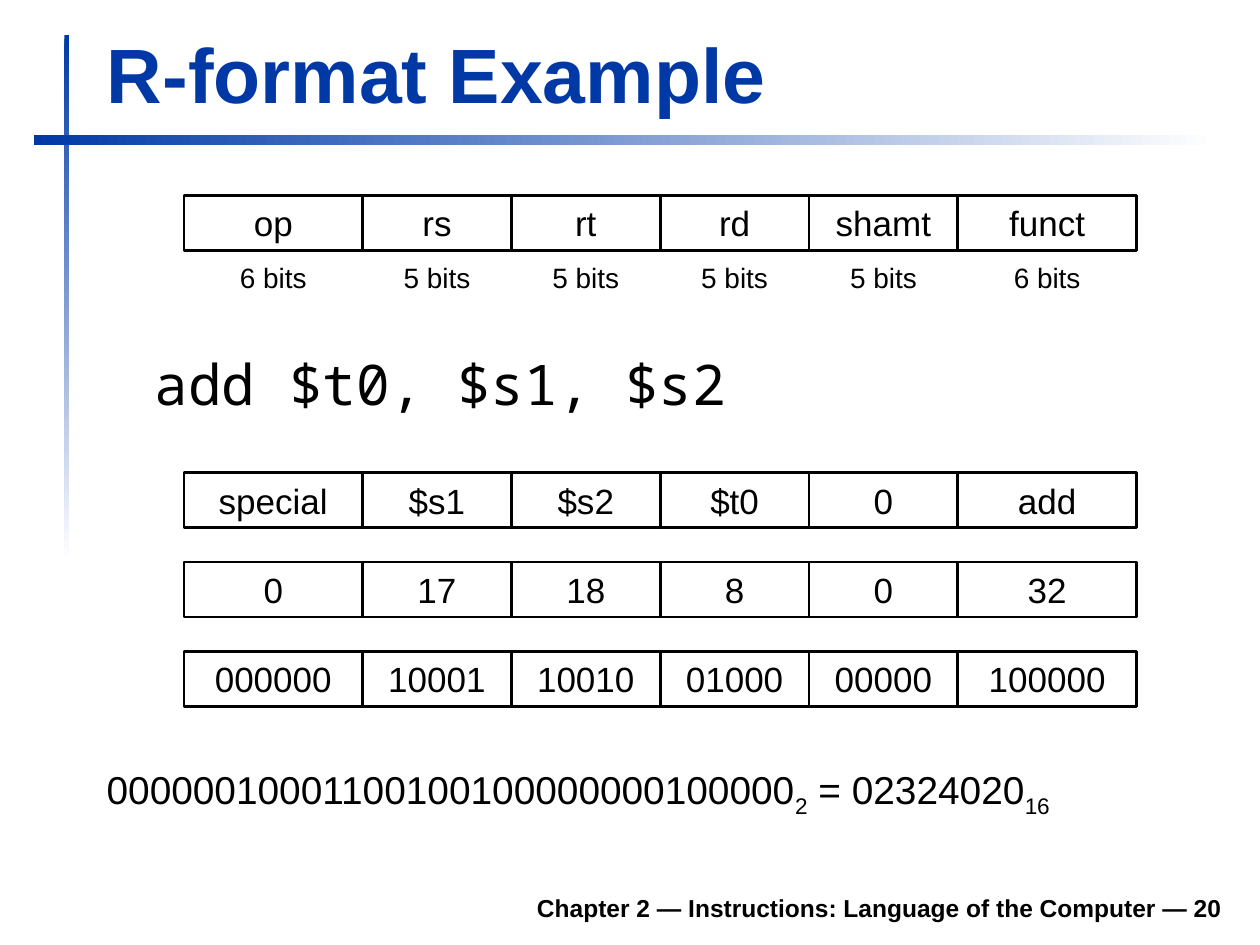
from pptx import Presentation
from pptx.dml.color import RGBColor
from pptx.enum.shapes import MSO_SHAPE
from pptx.enum.text import MSO_ANCHOR, PP_ALIGN
from pptx.util import Cm, Pt

RECTANGLE = MSO_SHAPE.RECTANGLE
TOP, MIDDLE, BOTTOM = MSO_ANCHOR.TOP, MSO_ANCHOR.MIDDLE, MSO_ANCHOR.BOTTOM
LEFT, CENTER, RIGHT = PP_ALIGN.LEFT, PP_ALIGN.CENTER, PP_ALIGN.RIGHT

# Content
TITLE = "R-format Example"
FOOTER = "Chapter 2 — Instructions: Language of the Computer — 20"
INSTRUCTION = "add $t0, $s1, $s2"
FIELD_BITS = [6, 5, 5, 5, 5, 6]
FIELD_NAMES = ["op", "rs", "rt", "rd", "shamt", "funct"]
ENCODINGS = [
    ["special", "$s1", "$s2", "$t0", "0", "add"],
    ["0", "17", "18", "8", "0", "32"],
    ["000000", "10001", "10010", "01000", "00000", "100000"],
]
# Each part of the result is (text, is subscript)
RESULT = [("00000010001100100100000000100000", False), ("2", True),
          (" = 02324020", False), ("16", True)]

# Theme: colours and type sizes
BLUE, BLACK, WHITE = (RGBColor.from_string(c) for c in ("0039A6", "000000", "FFFFFF"))
THEME = {
    "title": {"name": "Arial", "size": Pt(44), "bold": True, "color": BLUE},
    "footer": {"name": "Arial", "size": Pt(14), "bold": True, "color": BLACK},
    "code": {"name": "Noto Sans Mono", "size": Pt(32), "color": BLACK},
    "field": {"name": "Arial", "size": Pt(20), "color": BLACK},
    "bits": {"name": "Arial", "size": Pt(16), "color": BLACK},
    "result": {"name": "Arial", "size": Pt(22.2), "color": BLACK},
}

# Layout in centimetres
BIT_WIDTH = 0.6
FIELD_LEFT, FIELD_HEIGHT = 3.71, 1.11
NAMES_TOP, BITS_TOP, BITS_HEIGHT = 3.94, 5.13, 0.94
ENCODINGS_TOP, ENCODING_STEP = 9.53, 1.8


def format_font(font, style):
    for name, value in THEME[style].items():
        if name == "color":
            font.color.rgb = value
        else:
            setattr(font, name, value)


def write(shape, parts, style, align=LEFT, anchor=TOP):
    frame = shape.text_frame
    frame.word_wrap = True
    frame.vertical_anchor = anchor
    para = frame.paragraphs[0]
    para.alignment = align
    for text, subscript in parts:
        span = para.add_run()
        span.text = text
        format_font(span.font, style)
        if subscript:
            span.font._element.set("baseline", "-25000")


def add_text(slide, place, parts, style, align=LEFT, anchor=TOP):
    box = slide.shapes.add_textbox(*map(Cm, place))
    write(box, parts, style, align, anchor)
    return box


def add_rectangle(slide, place):
    box = slide.shapes.add_shape(RECTANGLE, *map(Cm, place))
    box.shadow.inherit = False
    return box


def add_fading_bar(slide, place, angle):
    bar = add_rectangle(slide, place)
    bar.line.fill.background()
    bar.fill.gradient()
    bar.fill.gradient_angle = angle
    for stop, color, position in zip(bar.fill.gradient_stops, (BLUE, WHITE), (0, 1)):
        stop.color.rgb = color
        stop.position = position


def field_spans():
    left = FIELD_LEFT
    for bits in FIELD_BITS:
        yield left, bits * BIT_WIDTH
        left += bits * BIT_WIDTH


def add_field_row(slide, top, labels):
    for (left, width), label in zip(field_spans(), labels):
        cell = add_rectangle(slide, (left, top, width, FIELD_HEIGHT))
        cell.fill.background()
        cell.line.color.rgb = BLACK
        cell.line.width = Pt(1.5)
        write(cell, [(label, False)], "field", CENTER, MIDDLE)


def main():
    deck = Presentation()
    deck.slide_width, deck.slide_height = Cm(25.4), Cm(19.05)
    page = deck.slides.add_slide(deck.slide_layouts[5])

    # Decorative bars
    add_fading_bar(page, (1.3, 0.71, 0.1, 10.59), 270)
    add_fading_bar(page, (0.69, 2.72, 23.8, 0.2), 0)

    # Title and footer
    title = page.shapes.title
    title.left, title.top, title.width, title.height = map(Cm, (1.9, 0.41, 22.94, 2.11))
    write(title, [(TITLE, False)], "title", LEFT, BOTTOM)
    add_text(page, (4.7, 17.73, 20.19, 0.99), [(FOOTER, False)], "footer", RIGHT, BOTTOM)

    # Instruction format with field widths
    add_field_row(page, NAMES_TOP, FIELD_NAMES)
    for (left, width), bits in zip(field_spans(), FIELD_BITS):
        add_text(page, (left, BITS_TOP, width, BITS_HEIGHT),
                 [(f"{bits} bits", False)], "bits", CENTER)

    # Instruction and its encodings
    code = add_text(page, (1.9, 6.93, 22.96, 1.8), [(INSTRUCTION, False)], "code")
    code.text_frame.margin_left = Cm(1.22)
    for index, labels in enumerate(ENCODINGS):
        add_field_row(page, ENCODINGS_TOP + index * ENCODING_STEP, labels)

    # Resulting machine word
    add_text(page, (1.9, 15.32, 22.6, 1.4), RESULT, "result")

    deck.save("out.pptx")


if __name__ == "__main__":
    main()
